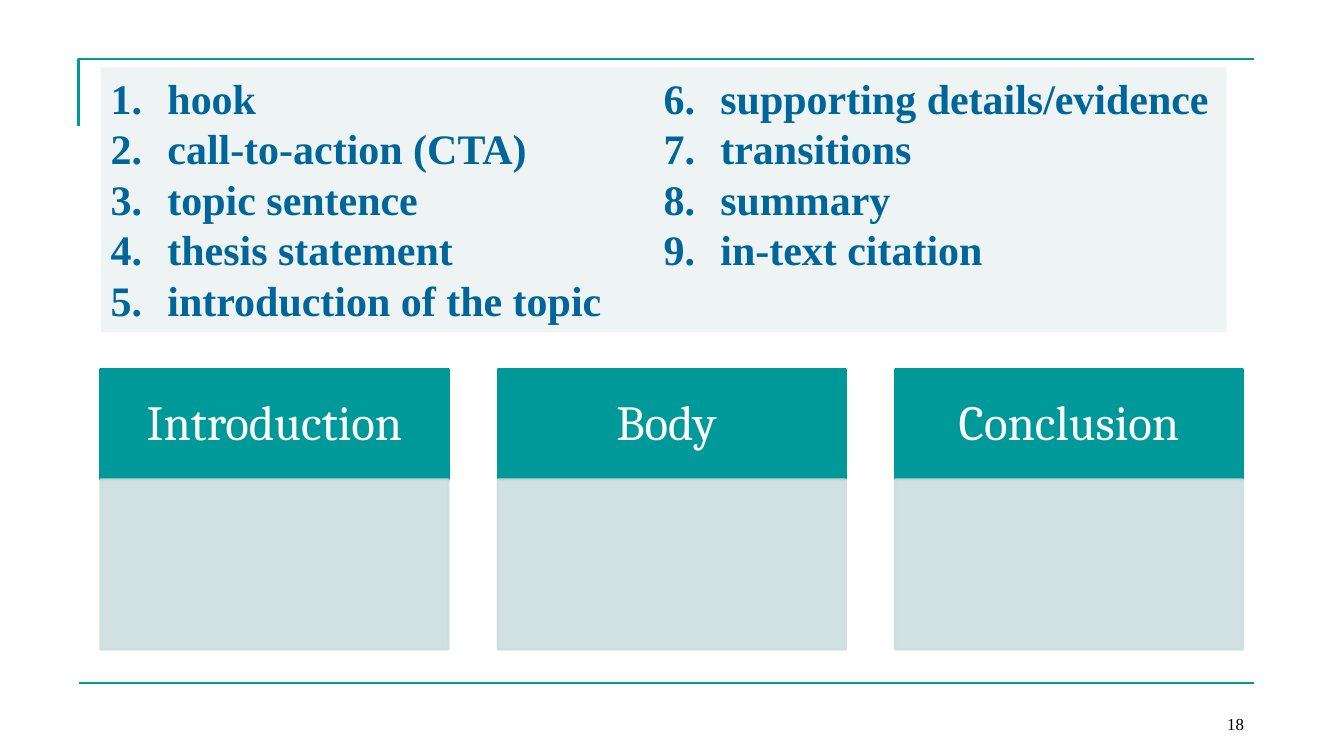
from dataclasses import dataclass

from lxml.etree import SubElement
from pptx import Presentation
from pptx.dml.color import RGBColor
from pptx.enum.shapes import MSO_CONNECTOR, MSO_SHAPE
from pptx.enum.text import MSO_ANCHOR, PP_ALIGN
from pptx.oxml.ns import qn
from pptx.util import Cm, Pt

COLORS = {
    "teal": "009999",
    "pale": "CCDEDE",
    "panel": "EEF4F4",
    "blue": "006699",
    "white": "FFFFFF",
    "black": "000000",
}
SERIF = "Times New Roman"
LEFT, RIGHT = 1.98, 31.6  # ends of the frame lines
CARD_W, CARD_STEP = 8.76, 10.01
HEAD_TOP, HEAD_H, BODY_H = 9.3, 2.79, 4.27


@dataclass
class Box:
    x: float
    y: float
    w: float
    h: float

    def emu(self) -> tuple:
        return Cm(self.x), Cm(self.y), Cm(self.w), Cm(self.h)


@dataclass
class Card:
    title: str
    column: int

    @property
    def x(self) -> float:
        return 2.54 + self.column * CARD_STEP


TERMS = [
    "hook",
    "call-to-action (CTA)",
    "topic sentence",
    "thesis statement",
    "introduction of the topic",
    "supporting details/evidence",
    "transitions",
    "summary",
    "in-text citation",
]
CARDS = [Card(t, i) for i, t in enumerate(["Introduction", "Body ", "Conclusion"])]


def rgb(name: str) -> RGBColor:
    return RGBColor.from_string(COLORS[name])


def set_line(shape, color: str, width: float) -> None:
    shape.line.color.rgb = rgb(color)
    shape.line.width = Pt(width)


def add_rect(s, box: Box, fill: str, outlined: bool = True, alpha: int = 100):
    sp = s.shapes.add_shape(MSO_SHAPE.RECTANGLE, *box.emu())
    sp.shadow.inherit = False
    sp.fill.solid()
    sp.fill.fore_color.rgb = rgb(fill)
    if outlined:
        set_line(sp, fill, 2)
    else:
        sp.line.fill.background()
    if alpha < 100:
        for clr in sp._element.spPr.iter(qn("a:srgbClr")):
            SubElement(clr, qn("a:alpha"), val=str(alpha * 1000))
    return sp


def write(sp, *texts: str, size: float, color: str, font: str = SERIF,
          bold: bool = False, align=PP_ALIGN.LEFT, anchor=MSO_ANCHOR.TOP,
          spacing: float = 1.0, inset: tuple = (0.25, 0.13)) -> None:
    tf = sp.text_frame
    tf.word_wrap = True
    tf.vertical_anchor = anchor
    tf.margin_left = tf.margin_right = Cm(inset[0])
    tf.margin_top = tf.margin_bottom = Cm(inset[1])
    for i, text in enumerate(texts):
        p = tf.add_paragraph() if i else tf.paragraphs[0]
        p.alignment = align
        p.line_spacing = spacing
        r = p.add_run()
        r.text = text
        r.font.name = font
        r.font.size = Pt(size)
        r.font.bold = bold
        r.font.color.rgb = rgb(color)


def number_in_columns(sp, columns: int, indent: float) -> None:
    tf = sp.text_frame
    tf._txBody.bodyPr.set("numCol", str(columns))
    for p in tf.paragraphs:
        pPr = p._p.get_or_add_pPr()
        pPr.set("marL", str(Cm(indent)))
        pPr.set("indent", str(-Cm(indent)))
        SubElement(pPr, qn("a:buFont"), typeface="+mj-lt")
        SubElement(pPr, qn("a:buAutoNum"), type="arabicPeriod")


def add_frame(s) -> None:
    fb = s.shapes.build_freeform(Cm(LEFT), Cm(3.18))
    fb.add_line_segments([(Cm(LEFT), Cm(1.48)), (Cm(RIGHT), Cm(1.48))], close=False)
    corner = fb.convert_to_shape()
    corner.shadow.inherit = False
    corner.fill.background()
    set_line(corner, "teal", 1.5)

    rule = s.shapes.add_connector(
        MSO_CONNECTOR.STRAIGHT, Cm(LEFT), Cm(17.2), Cm(RIGHT), Cm(17.2))
    set_line(rule, "teal", 1.5)
    SubElement(rule._element.spPr, qn("a:effectLst"))


def add_card(s, card: Card) -> None:
    head = add_rect(s, Box(card.x, HEAD_TOP, CARD_W, HEAD_H), "teal")
    write(head, card.title, size=35, color="white", font="Cambria",
          align=PP_ALIGN.CENTER, anchor=MSO_ANCHOR.MIDDLE,
          spacing=0.9, inset=(0.69, 0.41))
    add_rect(s, Box(card.x, HEAD_TOP + HEAD_H, CARD_W, BODY_H), "pale", alpha=90)


def main() -> None:
    prs = Presentation()
    prs.slide_width, prs.slide_height = Cm(33.87), Cm(19.05)
    s = prs.slides.add_slide(prs.slide_layouts[6])

    # Frame lines
    add_frame(s)

    # Essay parts
    for card in CARDS:
        add_card(s, card)

    # Slide number
    number = s.shapes.add_textbox(*Box(23.7, 17.35, 7.9, 1.27).emu())
    write(number, "18", size=12, color="black",
          align=PP_ALIGN.RIGHT, anchor=MSO_ANCHOR.BOTTOM)

    # Numbered terms
    panel = add_rect(s, Box(2.54, 1.7, 28.37, 6.68), "panel", outlined=False)
    write(panel, *TERMS, size=30, color="blue", bold=True)
    number_in_columns(panel, columns=2, indent=1.43)

    prs.save("out.pptx")


if __name__ == "__main__":
    main()
